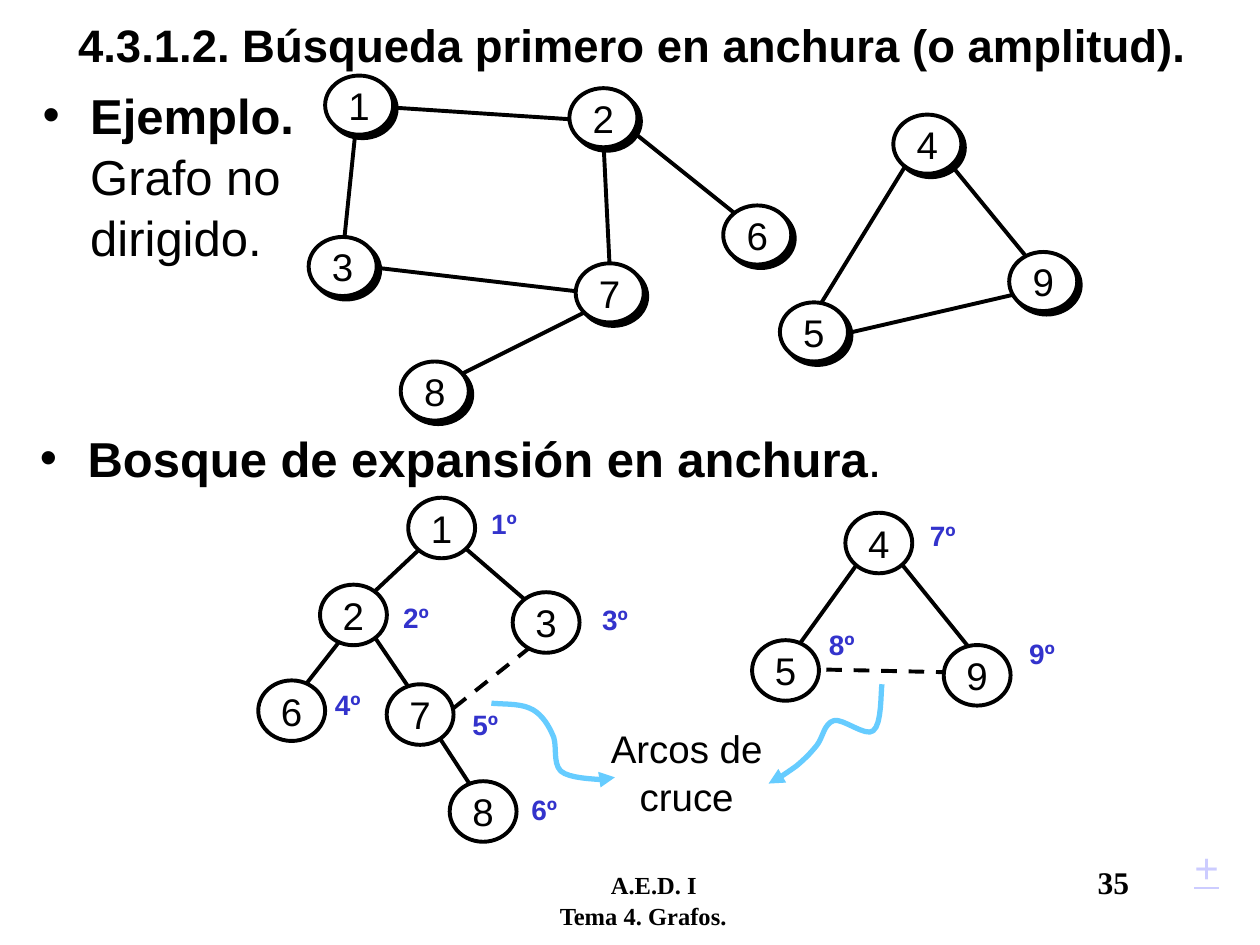
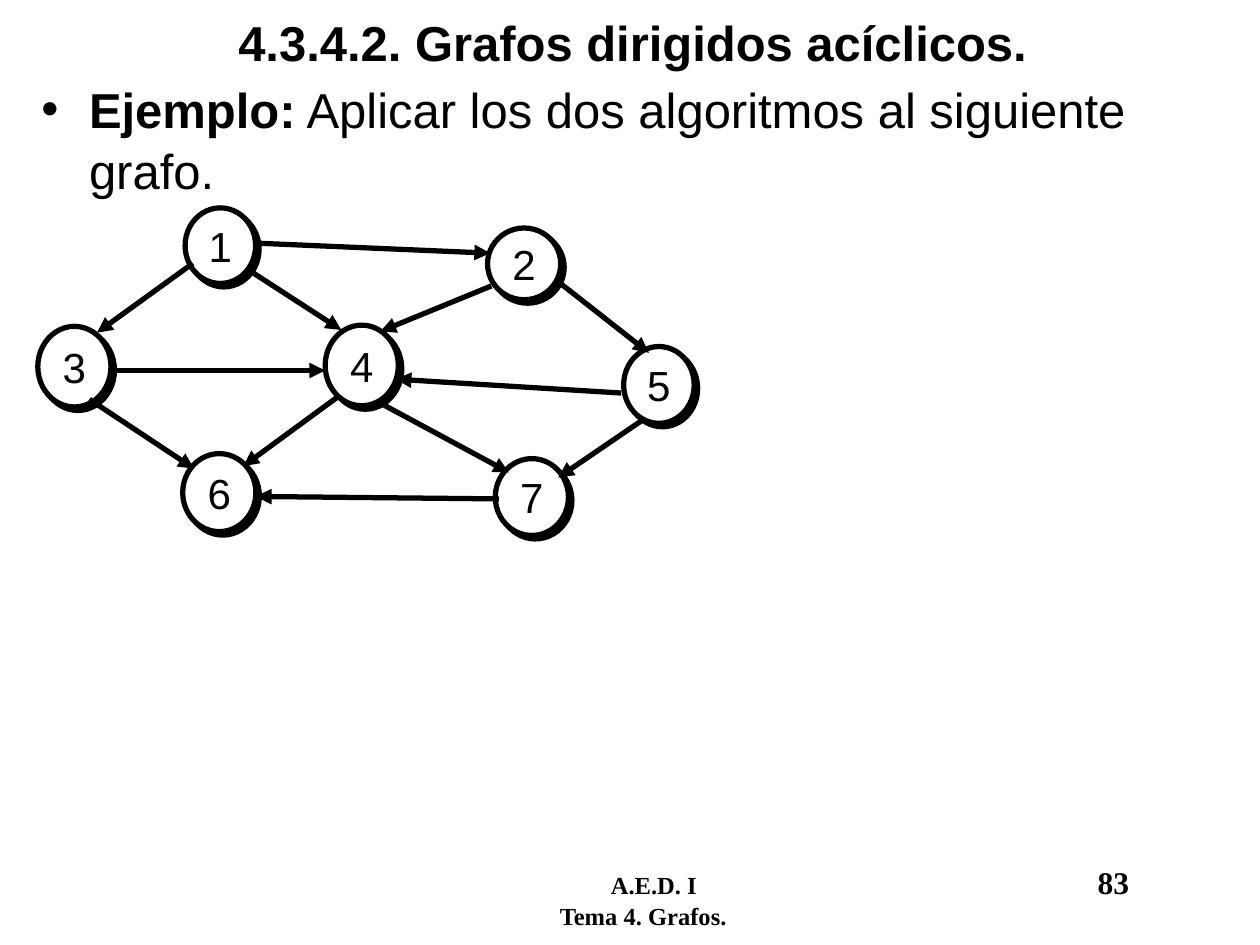
from dataclasses import dataclass

from lxml import etree
from pptx import Presentation
from pptx.dml.color import RGBColor
from pptx.enum.dml import MSO_LINE
from pptx.enum.shapes import MSO_CONNECTOR, MSO_SHAPE
from pptx.enum.text import MSO_ANCHOR, PP_ALIGN
from pptx.oxml.ns import qn
from pptx.util import Pt

CENTER, LEFT = PP_ALIGN.CENTER, PP_ALIGN.LEFT
MIDDLE, TOP = MSO_ANCHOR.MIDDLE, MSO_ANCHOR.TOP
STRAIGHT, OVAL, DASH = MSO_CONNECTOR.STRAIGHT, MSO_SHAPE.OVAL, MSO_LINE.DASH

COLORS = {
    "ink": "000000",
    "paper": "FFFFFF",
    "order": "3333CC",
    "cross_arc": "66CCFF",
    "more": "CCCCFF",
}
SANS, SERIF = "Arial", "Times New Roman"
BULLET_INDENT = 27.2
LINE_SPACING = 1.04
CURVE_STEPS = 8


@dataclass(frozen=True)
class Node:
    label: str
    left: float
    top: float
    width: float
    height: float


@dataclass(frozen=True)
class Edge:
    x1: float
    y1: float
    x2: float
    y2: float
    dashed: bool = False


@dataclass(frozen=True)
class GraphStyle:
    line: float
    size: float
    shadow: bool = True
    arrows: bool = False


@dataclass(frozen=True)
class Order:
    label: str
    left: float
    top: float


def rgb(name: str) -> RGBColor:
    return RGBColor.from_string(COLORS[name])


def sub(parent, tag: str, **attributes):
    return etree.SubElement(parent, qn(tag), attributes)


def style_run(run, size: float, color: str = "ink", bold: bool = False,
              font: str = SANS) -> None:
    run.font.size, run.font.bold, run.font.name = Pt(size), bold, font
    run.font.color.rgb = rgb(color)


def text_box(slide, left: float, top: float, width: float, height: float,
             text: str, size: float, color: str = "ink", bold: bool = False,
             align=LEFT, anchor=TOP, wrap: bool = True):
    frame = slide.shapes.add_textbox(
        Pt(left), Pt(top), Pt(width), Pt(height)).text_frame
    frame.word_wrap, frame.vertical_anchor = wrap, anchor
    frame.text = text
    paragraph = frame.paragraphs[0]
    paragraph.alignment = align
    style_run(paragraph.runs[0], size, color, bold)
    return paragraph


def add_title(slide, text: str, size: float, height: float) -> None:
    text_box(slide, 25.6, 0, 671.8, height, text, size, bold=True,
             align=CENTER, anchor=MIDDLE)


def add_bullet(slide, left: float, top: float, width: float,
               lead: str, rest: str) -> None:
    """Bold lead, then plain text; each newline is a line break."""
    paragraph = text_box(slide, left, top, width, 51.8, lead, 28, bold=True)
    paragraph.line_spacing = LINE_SPACING
    properties = paragraph._p.get_or_add_pPr()
    properties.set("marL", str(Pt(BULLET_INDENT)))
    properties.set("indent", str(-Pt(BULLET_INDENT)))
    sub(properties, "a:buFont", typeface=SANS)
    sub(properties, "a:buChar", char="•")
    for number, line in enumerate(rest.split("\n")):
        if number:
            paragraph.add_line_break()
        if line:
            run = paragraph.add_run()
            run.text = line
            style_run(run, 28)


def add_footer(slide, page: str) -> None:
    frame = slide.shapes.add_textbox(
        Pt(260.6), Pt(489.6), Pt(417.6), Pt(36)).text_frame
    frame.word_wrap = True
    rows = (((81.4, 359.6), ("\tA.E.D. I\t", page)),
            ((52.2,), ("\tTema 4. Grafos.",)))
    for number, (stops, pieces) in enumerate(rows):
        paragraph = frame.add_paragraph() if number else frame.paragraphs[0]
        tabs = sub(paragraph._p.get_or_add_pPr(), "a:tabLst")
        for stop in stops:
            sub(tabs, "a:tab", pos=str(Pt(stop)), algn="l")
        for piece in pieces:
            run = paragraph.add_run()
            run.text = piece
            style_run(run, 18 if piece == page else 14, bold=True, font=SERIF)


def add_arrowhead(shape) -> None:
    sub(shape.line._get_or_add_ln(), "a:tailEnd", type="triangle")


def draw_edge(slide, edge: Edge, style: GraphStyle) -> None:
    line = slide.shapes.add_connector(
        STRAIGHT, Pt(edge.x1), Pt(edge.y1), Pt(edge.x2), Pt(edge.y2))
    line.line.width, line.line.color.rgb = Pt(style.line), rgb("ink")
    if edge.dashed:
        line.line.dash_style = DASH
    if style.arrows:
        add_arrowhead(line)
    sub(line._element.spPr, "a:effectLst")


def draw_node(slide, node: Node, style: GraphStyle) -> None:
    oval = slide.shapes.add_shape(
        OVAL, Pt(node.left), Pt(node.top), Pt(node.width), Pt(node.height))
    oval.fill.solid()
    oval.fill.fore_color.rgb = rgb("paper")
    oval.line.color.rgb, oval.line.width = rgb("ink"), Pt(style.line)
    oval.shadow.inherit = False
    if style.shadow:
        effects = oval._element.spPr.find(qn("a:effectLst"))
        shadow = sub(effects, "a:outerShdw", dist=str(Pt(2.83)),
                     dir="2700000", algn="ctr", rotWithShape="0")
        sub(shadow, "a:srgbClr", val=COLORS["ink"])
    frame = oval.text_frame
    frame.word_wrap, frame.vertical_anchor = False, MIDDLE
    frame.text = node.label
    frame.paragraphs[0].alignment = CENTER
    style_run(frame.paragraphs[0].runs[0], style.size)


def draw_curved_arrow(slide, start: tuple, curves: list) -> None:
    """Follow cubic curves, each given as two controls and an end point."""
    points, here = [], start
    for curve in curves:
        corners = (here, curve[0:2], curve[2:4], curve[4:6])
        for step in range(1, CURVE_STEPS + 1):
            t = step / CURVE_STEPS
            weights = ((1 - t) ** 3, 3 * t * (1 - t) ** 2,
                       3 * t ** 2 * (1 - t), t ** 3)
            points.append(tuple(
                Pt(sum(w * corner[axis] for w, corner in zip(weights, corners)))
                for axis in (0, 1)))
        here = curve[4:6]
    builder = slide.shapes.build_freeform(Pt(start[0]), Pt(start[1]))
    builder.add_line_segments(points, close=False)
    arrow = builder.convert_to_shape()
    arrow.fill.background()
    arrow.line.color.rgb, arrow.line.width = rgb("cross_arc"), Pt(3)
    arrow.shadow.inherit = False
    add_arrowhead(arrow)


# Undirected example graph
GRAPH_STYLE = GraphStyle(2.25, 22)
GRAPH_EDGES = [
    Edge(220.3, 61.2, 329.8, 68.4), Edge(344.9, 82.1, 348.5, 154.8),
    Edge(335.5, 177.8, 260.6, 215.3), Edge(203, 76.3, 196.6, 138.2),
    Edge(211.7, 152.6, 334.1, 167), Edge(362.9, 76.3, 424.1, 125.3),
    Edge(517.7, 94.3, 467.3, 176.4), Edge(540, 90, 589, 149.8),
    Edge(479.5, 191.5, 581.8, 167.8),
]
GRAPH_NODES = [Node(label, left, top, 38.9, 33.8) for label, left, top in (
    ("1", 185.8, 43.2), ("2", 325.4, 50.4), ("3", 176.4, 135.4),
    ("7", 329, 150.5), ("8", 229, 206.6), ("6", 413.3, 117.4),
    ("4", 510.5, 65.5), ("9", 576.7, 144), ("5", 445.7, 172.8))]

# Breadth-first forest
FOREST_STYLE = GraphStyle(2.25, 22, shadow=False)
FOREST_EDGES = [
    Edge(253.4, 301, 204.5, 347), Edge(315.4, 360, 255.6, 407.5, dashed=True),
    Edge(278.6, 463.7, 243.4, 409.7), Edge(254.9, 303.8, 312.5, 353.5),
    Edge(159.1, 411.1, 200.2, 358.6), Edge(207.4, 354.2, 242.6, 406.1),
    Edge(499, 309.6, 447.1, 381.6), Edge(511.9, 318.2, 560.2, 378),
    Edge(456.5, 382.3, 557.3, 384.5, dashed=True),
]
FOREST_NODES = [Node(label, left, top, 38.2, 34.6) for label, left, top in (
    ("1", 233.3, 284.4), ("2", 182.9, 334.1), ("3", 293, 338.4),
    ("7", 221, 391), ("8", 257, 446.4), ("6", 147.6, 388.8),
    ("4", 483.1, 293), ("9", 539.3, 368.6), ("5", 429.8, 365.8))]
VISIT_ORDERS = [
    Order("1º", 273.6, 285.8), Order("2º", 223.2, 339.8),
    Order("4º", 184.3, 389.5), Order("3º", 337, 340.6),
    Order("6º", 296.6, 449.3), Order("5º", 262.8, 401),
    Order("8º", 466.6, 355), Order("7º", 524.2, 293), Order("9º", 581, 360),
]
CROSS_ARC_ARROWS = [
    ((504, 391), [
        (503.3, 395.3, 504, 414, 499, 417.6),
        (494.6, 421.2, 481.7, 410.4, 476.6, 411.8),
        (470.9, 413.3, 470.2, 421.9, 466.6, 426.2),
        (463, 430.6, 459.4, 434.2, 455, 437.8),
        (450, 441.4, 442.8, 446.4, 439.2, 447.8)]),
    ((280.8, 401.8), [
        (284.4, 402.5, 296.6, 401.8, 302.4, 404.6),
        (308.2, 406.8, 312.5, 412.6, 315.4, 419),
        (319, 424.8, 315.4, 435.6, 320.4, 440.6),
        (325.4, 445, 339.8, 445, 344.9, 445.7),
        (349.9, 446.4, 350.6, 444.2, 351.4, 444.2)]),
]

# Directed acyclic graph
DAG_STYLE = GraphStyle(3, 24, arrows=True)
DAG_NODES = [
    Node("1", 105.8, 118.8, 40.3, 43.2), Node("2", 278.6, 130.3, 41.8, 41),
    Node("3", 21.6, 186.5, 41.8, 46.1), Node("4", 185.8, 185.8, 41.8, 46.1),
    Node("6", 104.4, 259.2, 41.8, 44.6), Node("5", 356.4, 198, 40.3, 43.9),
    Node("7", 283, 262.1, 41.8, 43.9),
]
DAG_EDGES = [
    Edge(147.6, 139, 280.1, 144.7), Edge(317.5, 159.8, 370.8, 201.6),
    Edge(280.8, 163.4, 217.4, 189.4), Edge(141.8, 154.1, 195.1, 188.6),
    Edge(355, 224.6, 226.1, 216.7), Edge(110.2, 150.5, 55.4, 190.1),
    Edge(64.8, 211.7, 185.8, 211.7), Edge(193, 226.8, 139, 266.4),
    Edge(217.4, 230.4, 290.9, 270), Edge(366.5, 240.5, 319, 272.9),
    Edge(285.1, 285.1, 146.2, 283.7), Edge(51.1, 228.2, 110.9, 267.8),
]


def build_breadth_first(slide) -> None:
    add_footer(slide, "35")
    add_title(slide, "4.3.1.2. Búsqueda primero en anchura (o amplitud).",
              26, 50.4)
    add_bullet(slide, 17.3, 43.9, 551.5, "Ejemplo.", "\nGrafo no\ndirigido.")
    add_bullet(slide, 15.8, 239.8, 551.5, "Bosque de expansión en anchura", ".")
    for edges, nodes, style in ((GRAPH_EDGES, GRAPH_NODES, GRAPH_STYLE),
                                (FOREST_EDGES, FOREST_NODES, FOREST_STYLE)):
        for edge in edges:
            draw_edge(slide, edge, style)
        for node in nodes:
            draw_node(slide, node, style)
    # Cross arcs
    caption = text_box(slide, 331.2, 409.7, 122.4, 59.8, "Arcos de cruce", 22,
                       align=CENTER)
    caption.line_spacing = LINE_SPACING
    for start, curves in CROSS_ARC_ARROWS:
        draw_curved_arrow(slide, start, curves)
    # Visit order
    for order in VISIT_ORDERS:
        text_box(slide, order.left, order.top, 58.3, 26.6, order.label, 16,
                 "order", bold=True)
    more = text_box(slide, 675.4, 477.4, 28.8, 36, "+", 24, "more", wrap=False)
    more.runs[0].font.underline = True


def build_acyclic(slide) -> None:
    add_footer(slide, "83")
    add_title(slide, "4.3.4.2. Grafos dirigidos acíclicos.", 28, 47.5)
    add_bullet(slide, 16.6, 40.3, 703.4, "Ejemplo:",
               " Aplicar los dos algoritmos al siguiente grafo.")
    for node in DAG_NODES:
        draw_node(slide, node, DAG_STYLE)
    for edge in DAG_EDGES:
        draw_edge(slide, edge, DAG_STYLE)


def main() -> None:
    deck = Presentation()
    deck.slide_width, deck.slide_height = Pt(720), Pt(540)
    for build in (build_breadth_first, build_acyclic):
        build(deck.slides.add_slide(deck.slide_layouts[6]))
    deck.save("out.pptx")


if __name__ == "__main__":
    main()
